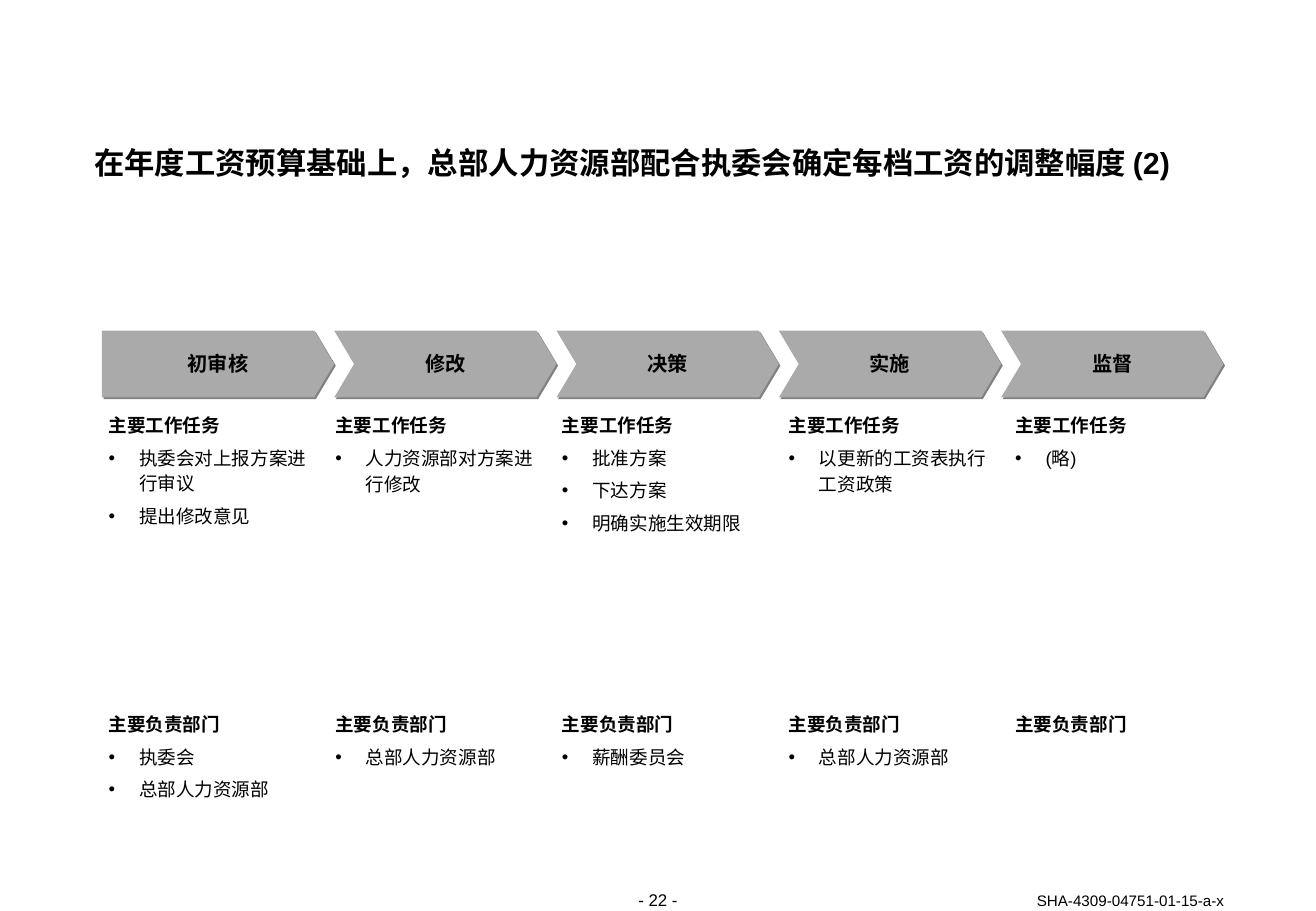
from lxml import etree
from pptx import Presentation, util as u
from pptx.dml.color import RGBColor
from pptx.enum import text as t
from pptx.oxml import ns

BLACK = RGBColor(0, 0, 0)
GREY = RGBColor(0xAA, 0xAA, 0xAA)
SHADE = RGBColor(0x80, 0x80, 0x80)

# Content
TITLE = "在年度工资预算基础上，总部人力资源部配合执委会确定每档工资的调整幅度 (2)"
PAGE = "- 22 -"
CODE = "SHA-4309-04751-01-15-a-x"
TASKS, UNITS = "主要工作任务", "主要负责部门"
STEPS = [
    ("初审核", ["执委会对上报方案进行审议", "提出修改意见"],
     ["执委会", "总部人力资源部"]),
    ("修改", ["人力资源部对方案进行修改"], ["总部人力资源部"]),
    ("决策", ["批准方案", "下达方案", "明确实施生效期限"], ["薪酬委员会"]),
    ("实施", ["以更新的工资表执行工资政策"], ["总部人力资源部"]),
    ("监督", ["(略)"], []),
]

# Layout, in points
LEFT, JOIN, STEP = 60.5, 198.2, 131.85
TOP, HIGH, TIP = 196, 39.6, 11.8
COL, GAP, WIDE, DENT = 64.5, 134.4, 119.5, 18
TASK_TOP, UNIT_TOP = 243.7, 420.8


def style(para, size, bold=False, align=t.PP_ALIGN.LEFT, line=None):
    para.alignment = align
    para.line_spacing = line
    font = para.font
    font.name, font.size, font.bold = "Arial", u.Pt(size), bold
    font.color.rgb = BLACK


def frame(shape, anchor=t.MSO_ANCHOR.TOP, wrap=True):
    body = shape.text_frame
    body.margin_left = body.margin_right = 0
    body.margin_top = body.margin_bottom = 0
    body.vertical_anchor = anchor
    body.word_wrap = wrap
    body.auto_size = t.MSO_AUTO_SIZE.NONE
    return body


def add_box(x, y, w, h, anchor=t.MSO_ANCHOR.TOP):
    box = slide.shapes.add_textbox(u.Pt(x), u.Pt(y), u.Pt(w), u.Pt(h))
    return frame(box, anchor)


def add_mark(para):
    props = para._p.get_or_add_pPr()
    props.set("marL", str(u.Pt(DENT)))
    props.set("indent", str(-u.Pt(DENT)))
    tint = etree.SubElement(props, ns.qn("a:buClr"))
    etree.SubElement(tint, ns.qn("a:srgbClr"), val=str(BLACK))
    etree.SubElement(props, ns.qn("a:buFont"), typeface="Arial")
    etree.SubElement(props, ns.qn("a:buChar"), char="•")


def add_list(x, y, head, items):
    body = add_box(x, y, WIDE, 15.2 + 19.3 * len(items))
    for i, words in enumerate([head] + items):
        para = body.paragraphs[0] if i == 0 else body.add_paragraph()
        para.text = words
        if i:
            para.space_before = u.Pt(4.1)
            add_mark(para)
        style(para, 11, bold=i == 0, line=1.15)


def add_arrow(x, end, name, notch):
    mid, low = TOP + HIGH / 2, TOP + HIGH
    dots = [(end - TIP, TOP), (end, mid), (end - TIP, low), (x, low)]
    if notch:
        dots.append((x + TIP, mid))
    pen = slide.shapes.build_freeform(u.Pt(x), u.Pt(TOP))
    pen.add_line_segments([(u.Pt(a), u.Pt(b)) for a, b in dots], close=True)
    arrow = pen.convert_to_shape()
    arrow.fill.solid()
    arrow.fill.fore_color.rgb = GREY
    arrow.line.fill.background()
    # Hard shadow to the lower right
    arrow.shadow.inherit = False
    glow = arrow._element.spPr.find(ns.qn("a:effectLst"))
    cast = etree.SubElement(glow, ns.qn("a:outerShdw"), blurRad="0",
                            dist=str(u.Pt(1.4)), dir="2700000",
                            algn="ctr", rotWithShape="0")
    etree.SubElement(cast, ns.qn("a:srgbClr"), val=str(SHADE))
    para = frame(arrow, t.MSO_ANCHOR.MIDDLE, wrap=False).paragraphs[0]
    para.text = name
    style(para, 12, True, t.PP_ALIGN.CENTER, u.Pt(14))


deck = Presentation()
deck.slide_width = u.Pt(780.48)
deck.slide_height = u.Pt(540)
slide = deck.slides.add_slide(deck.slide_layouts[5])

# Title
title = slide.shapes.title
title.left, title.top = u.Pt(55.8), u.Pt(87.1)
title.width, title.height = u.Pt(671.8), u.Pt(20.2)
para = frame(title).paragraphs[0]
para.text = TITLE
style(para, 18, True, line=u.Pt(20))

# Process steps with their lists
for i, (name, tasks, units) in enumerate(STEPS):
    start = JOIN + (i - 1) * STEP if i else LEFT
    add_arrow(start, JOIN + i * STEP, name, notch=i > 0)
    add_list(COL + i * GAP, TASK_TOP, TASKS, tasks)
    add_list(COL + i * GAP, UNIT_TOP, UNITS, units)

# Footer
para = add_box(349.2, 527.4, 82.1, 12.2).paragraphs[0]
para.text = PAGE
style(para, 10, align=t.PP_ALIGN.CENTER)
para = add_box(550.3, 528.4, 175.7, 10.8, t.MSO_ANCHOR.BOTTOM).paragraphs[0]
para.text = CODE
style(para, 9, align=t.PP_ALIGN.RIGHT, line=u.Pt(11))

deck.save("out.pptx")
